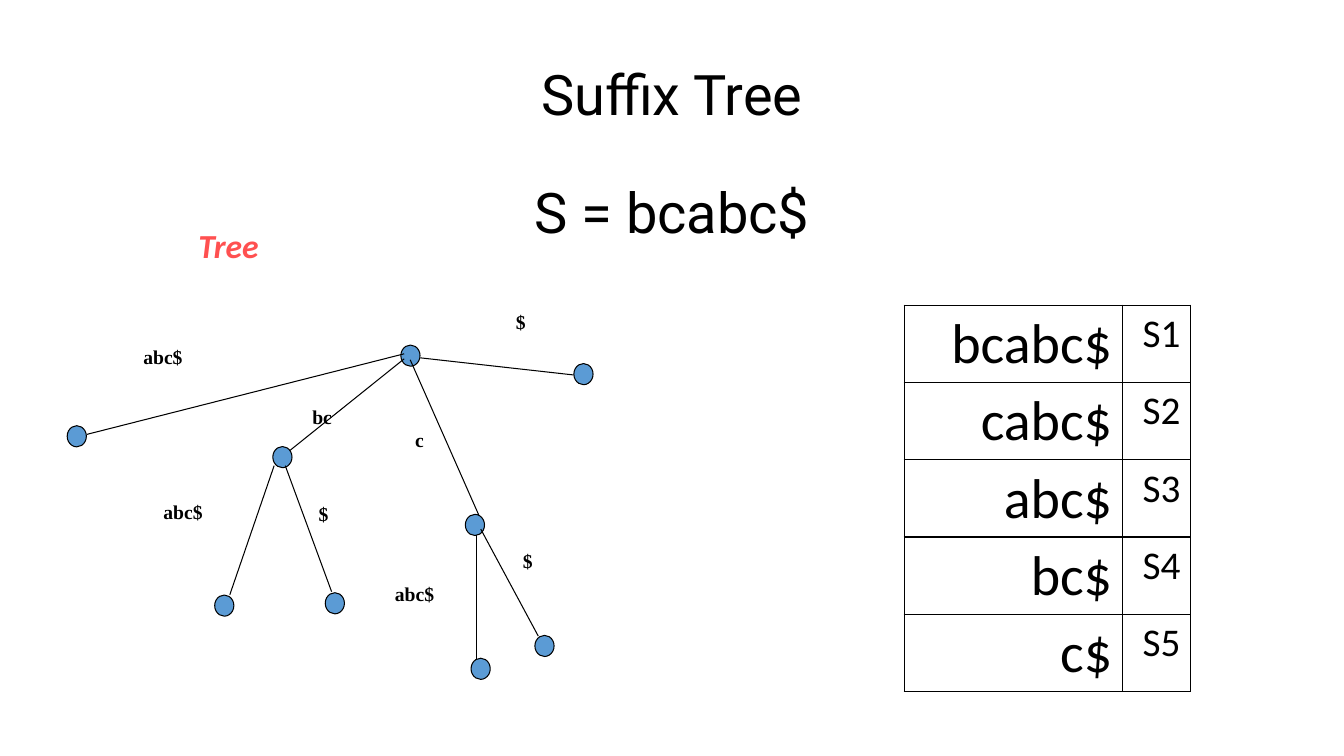
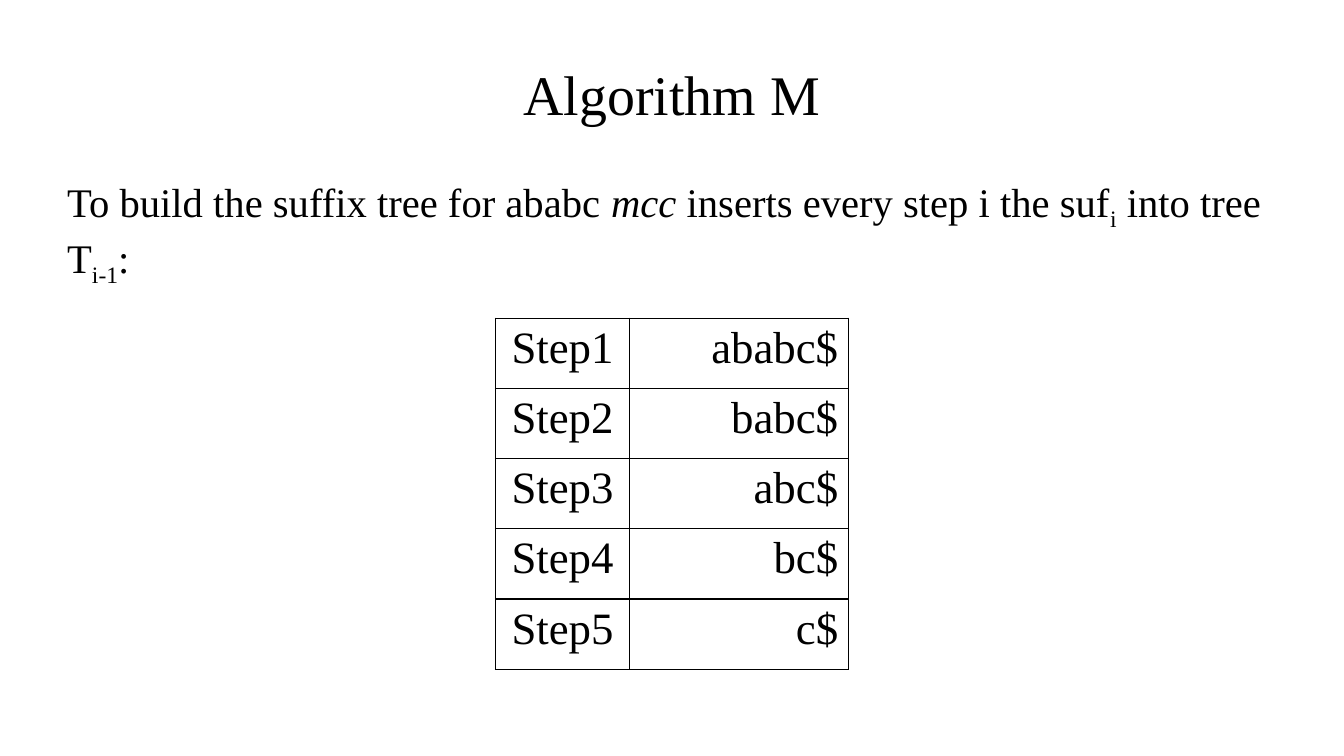
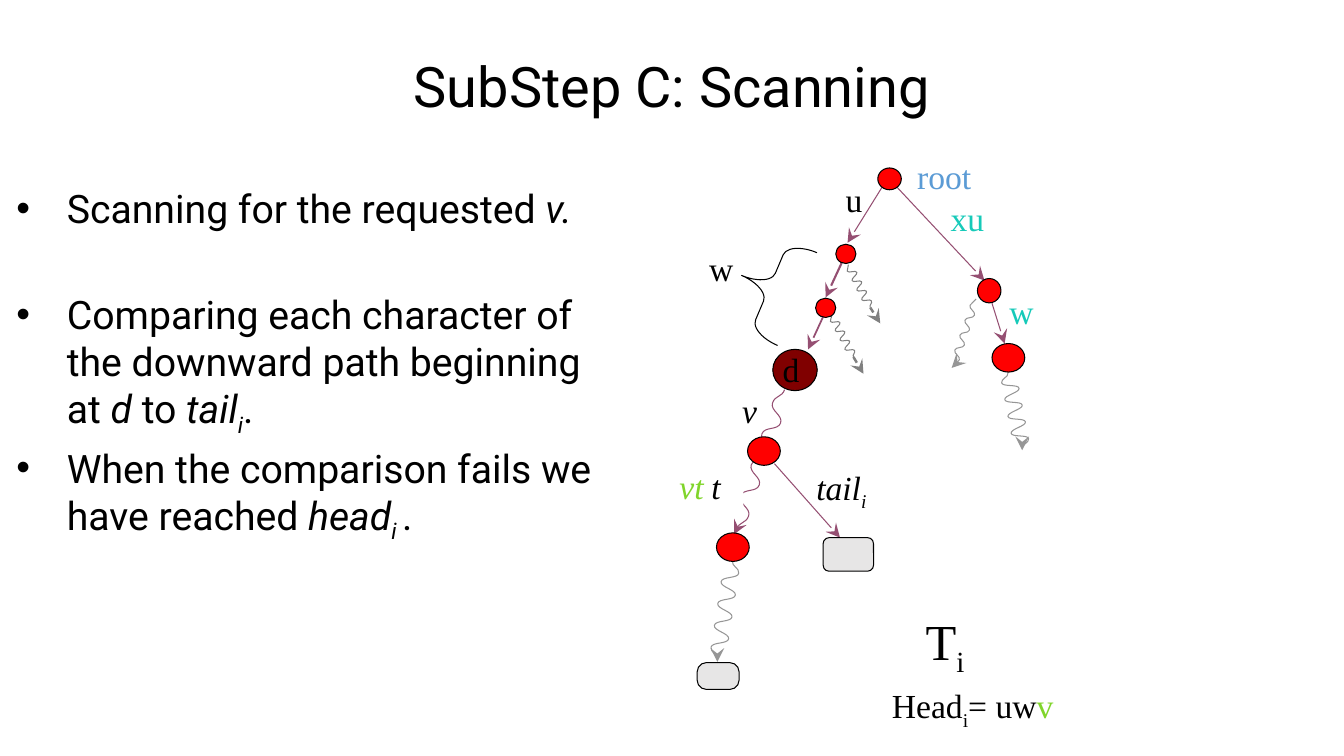
import math
from pptx import Presentation
from pptx import util as u
from pptx.dml.color import RGBColor
from pptx.enum import shapes, text
from pptx.oxml import parse_xml
from pptx.oxml.ns import nsdecls, qn

COLS, ROWS = 80, 45
UNIT = u.Inches(1) / 6
HEX = dict(ink="000000", paper="FFFFFF", blue="5B9BD5", coral="FF5050", red="FF0000",
           wine="800000", plum="954F72", ash="969696", smoke="808080", mist="E7E6E6",
           teal="16CAB9", lime="80D52B")
TIMES, ROBOTO, CARE = "Times New Roman", "Roboto", "Calibri"
LEFT, MID, RIGHT = text.PP_ALIGN.LEFT, text.PP_ALIGN.CENTER, text.PP_ALIGN.RIGHT
ITAL, SUB = dict(italic=True), dict(sub=True)
BOTH = dict(italic=True, sub=True)
TITLE = (4, 1.8, 72, 7.5)
BODY = (4, 10.54, 72)


def grid(*vals):
    """Turn grid units into lengths."""
    return [u.Emu(round(v * UNIT)) for v in vals]


def tint(name):
    """Look up a colour."""
    return RGBColor.from_string(HEX[name])


def style(font, look):
    """Set the font attributes held in a dict."""
    look = dict(look)
    font.color.rgb = tint(look.pop("tone", "ink"))
    for key, val in look.items():
        setattr(font, key, val)


def write(para, runs, look, align=LEFT):
    """Fill a paragraph with runs, each a string or a (string, format) pair."""
    para.alignment = align
    for item in [runs] if isinstance(runs, str) else runs:
        words, extra = (item, {}) if isinstance(item, str) else item
        run = para.add_run()
        run.text = words
        fmt = {**look, **extra}
        low = fmt.pop("sub", False)
        style(run.font, fmt)
        if low:
            run._r.get_or_add_rPr().set("baseline", "-25000")


def look(face, size, **more):
    """Make a format dict."""
    return dict(name=face, size=u.Pt(size), **more)


def frame(slide, spot, pad=True, anchor=text.MSO_ANCHOR.TOP):
    """Add an empty text box and return its shape."""
    box = slide.shapes.add_textbox(*grid(*spot))
    body = box.text_frame
    body.word_wrap, body.vertical_anchor = True, anchor
    if not pad:
        for side in ("left", "top", "right", "bottom"):
            setattr(body, "margin_" + side, 0)
    return box


def label(slide, runs, spot, fmt, align=LEFT, **more):
    """Add one paragraph of text in a box."""
    box = frame(slide, spot, **more)
    write(box.text_frame.paragraphs[0], runs, fmt, align)
    return box


def title(slide, words, face=ROBOTO, spot=TITLE):
    """Add the centred slide title."""
    label(slide, words, spot, look(face, 39.9), MID, pad=False,
          anchor=text.MSO_ANCHOR.MIDDLE)


def bullets(slide, spot, items, fmt):
    """Add a bulleted list of (space before, runs) items."""
    body = frame(slide, spot, pad=False).text_frame
    for num, (gap, runs) in enumerate(items):
        para = body.add_paragraph() if num else body.paragraphs[0]
        props = para._p.get_or_add_pPr()
        hang = grid(3)[0]
        props.set("marL", str(hang))
        props.set("indent", str(-hang))
        props.append(parse_xml(f'<a:buFont {nsdecls("a")} typeface="Arial"/>'))
        props.append(parse_xml(f'<a:buChar {nsdecls("a")} char="•"/>'))
        para.space_before = u.Pt(gap)
        write(para, runs, fmt)


def shape(slide, kind, spot, fill=None, adjust=(), turn=0):
    """Add a thinly outlined preset shape."""
    item = slide.shapes.add_shape(kind, *grid(*spot))
    item.shadow.inherit = False
    item.rotation = turn
    if fill:
        item.fill.solid()
        item.fill.fore_color.rgb = tint(fill)
    else:
        item.fill.background()
    pen(item.line, "ink")
    for num, val in enumerate(adjust):
        item.adjustments[num] = val
    return item


def pen(line, tone, width=0.75):
    """Set a line's colour and width."""
    line.color.rgb = tint(tone)
    line.width = u.Pt(width)


def edge(slide, ends, tone="ink", width=0.75, arrow=False):
    """Add a straight line, with an arrowhead on request."""
    line = slide.shapes.add_connector(shapes.MSO_CONNECTOR.STRAIGHT, *grid(*ends))
    pen(line.line, tone, width)
    props = line._element.spPr
    if arrow:
        props.find(qn("a:ln")).append(parse_xml(
            f'<a:tailEnd {nsdecls("a")} type="stealth" w="lg" len="lg"/>'))
    props.append(parse_xml(f'<a:effectLst {nsdecls("a")}/>'))


def bend(curve, lean):
    """Turn a freeform's straight segments into curves that lean along its axis."""
    last = None
    for step in list(curve._element.iter(qn("a:moveTo"), qn("a:lnTo"))):
        spot = [int(step[0].get(key)) for key in "xy"]
        if last:
            near = [a + b for a, b in zip(last, lean)]
            far = [a - b for a, b in zip(spot, lean)]
            dots = "".join(f'<a:pt x="{x}" y="{y}"/>' for x, y in (near, far, spot))
            step.getparent().replace(step, parse_xml(
                f'<a:cubicBezTo {nsdecls("a")}>{dots}</a:cubicBezTo>'))
        last = spot


def wave(slide, ends, tip, swing, tone):
    """Add a wavy line of nine bends that ends in an arrowhead."""
    x, y, right, low = ends
    wide, tall = right - x, low - y
    span, bends = math.hypot(wide, tall), 9
    dots = []
    for num in range(bends + 1):
        part = num / bends
        side = 0 if num in (0, bends) else swing * (-1) ** (num + 1) / span
        dots.append(grid(x + wide * part - tall * side, y + tall * part + wide * side))
    build = slide.shapes.build_freeform(*dots[0])
    build.add_line_segments(dots[1:], close=False)
    curve = build.convert_to_shape()
    bend(curve, grid(wide / bends / 2, tall / bends / 2))
    curve.shadow.inherit = False
    curve.fill.background()
    pen(curve.line, tone)
    edge(slide, (right, low, *tip), tone, 1.75, True)


def table(slide, left, top, wides, tall, rows, forms):
    """Add a ruled table; forms gives each column's format and alignment."""
    spot = grid(left, top, sum(wides), tall * len(rows))
    grill = slide.shapes.add_table(len(rows), len(wides), *spot).table
    grill.first_row = grill.horz_banding = False
    for col, wide in zip(grill.columns, grid(*wides)):
        col.width = wide
    for num, row in enumerate(rows):
        grill.rows[num].height = grid(tall)[0]
        for col, words in enumerate(row):
            cell = grill.cell(num, col)
            write(cell.text_frame.paragraphs[0], words, *forms[col])
            rule(cell)
            cell.fill.background()


def rule(cell):
    """Draw black borders round a cell."""
    props = cell._tc.get_or_add_tcPr()
    for side in "LRTB":
        props.append(parse_xml(
            f'<a:ln{side} {nsdecls("a")} w="12700"><a:solidFill>'
            f'<a:srgbClr val="{HEX["ink"]}"/></a:solidFill></a:ln{side}>'))


def suffix(slide):
    """Build the suffix tree slide."""
    title(slide, "Suffix Tree")
    label(slide, "S = bcabc$", (*BODY, 26.1), look(ROBOTO, 40), MID, pad=False)
    for ends, x, y in [
            (None, 23.86, 20.54), ((25.02, 21.3, 34.14, 22.32), 34.16, 21.64),
            ((24.42, 21.42, 28.5, 30.66), 27.7, 30.62),
            ((28.62, 31.5, 32.04, 37.86), 31.84, 37.82),
            ((28.38, 31.86, 28.38, 39.84), 28.04, 39.18),
            ((24.06, 21.36, 17.1, 26.94), 16.24, 26.58),
            ((16.98, 27.72, 19.74, 35.22), 19.36, 35.28),
            ((16.32, 27.72, 13.68, 35.4), 12.78, 35.42),
            ((24.06, 21.06, 5.16, 25.86), 4, 25.34)]:
        if ends:
            edge(slide, ends)
        shape(slide, shapes.MSO_SHAPE.OVAL, (x, y, 1.14, 1.26), "blue")
    for words, x, y in [("$", 30.12, 18.18), ("c", 24.12, 25.2), ("$", 30.54, 32.4),
                        ("abc$", 22.92, 34.36), ("bc", 18, 23.82), ("$", 18.38, 29.58),
                        ("abc$", 9.14, 29.46), ("abc$", 7.94, 20.26)]:
        label(slide, words, (x, y, 2.3 + 1.14 * len(words), 4.45),
              look(TIMES, 14, bold=True))
    label(slide, "Tree", (11.22, 13.08, 10.5, 6.6),
          look(CARE, 24, bold=True, italic=True, tone="coral"))
    word = "bcabc$"
    rows = [(word[num:], f"S{num + 1}") for num in range(5)]
    table(slide, 53.82, 18.16, (12.98, 4.06), 4.6, rows,
          [(look(CARE, 40), RIGHT), (look(CARE, 28), RIGHT)])


def steps(slide):
    """Build the algorithm slide."""
    title(slide, "Algorithm M", TIMES)
    label(slide, ["To build the suffix tree for ababc ", ("mcc", ITAL),
                  " inserts every step i the suf", ("i", SUB), " into tree T",
                  ("i-1", SUB), ":"], (*BODY, 33.85), look(TIMES, 29), pad=False)
    word = "ababc$"
    rows = [(f"Step{num + 1}", word[num:]) for num in range(5)]
    fmt = look(TIMES, 32)
    table(slide, 29.5, 18.94, (7.98, 13.02), 4.18, rows, [(fmt, MID), (fmt, RIGHT)])


def scan(slide):
    """Build the scanning slide."""
    title(slide, "SubStep C: Scanning", spot=(16.75, 2.32, 46.5, 5.5))
    bullets(slide, (0.98, 10.98, 35.28, 29), [
        (0, ["Scanning for the requested ", ("v.", ITAL)]),
        (42, ["Comparing each character of the downward path beginning at ", ("d", ITAL),
              " to ", ("tail", ITAL), ("i", BOTH), "."]),
        (4.2, ["When the comparison fails we have reached ", ("head", ITAL),
               ("i", BOTH), (" ", SUB), "."])], look(ROBOTO, 28))
    for ends, tip, swing, tone in [
            ((58.1, 17.8, 56.75, 21.8), (56.65, 21.9), 0.22, "ash"),
            ((60, 22.2, 60.85, 26.7), (60.85, 26.8), 0.48, "ash"),
            ((46.7, 23.2, 43.85, 31.5), (43.7, 31.8), 0.42, "plum"),
            ((50.5, 15.75, 51.8, 18.3), (52.4, 19.25), 0.24, "smoke"),
            ((49.5, 18.75, 50.8, 21.25), (51.4, 22.25), 0.24, "smoke"),
            ((43.6, 33.4, 42.7, 39.25), (42.7, 39.4), -0.48, "ash")]:
        wave(slide, ends, tip, swing, tone)
    for *ends, width in [(53.4, 11.15, 58.6, 16.7, 0.75), (52.5, 11.15, 50.45, 14.45, 0.75),
                         (59.05, 18.05, 59.8, 20.45, 0.75), (50.1, 15.65, 49.15, 17.7, 1.5),
                         (49, 18.85, 48.1, 20.8, 1.25), (46.1, 27.6, 50, 32, 0.75)]:
        edge(slide, ends, "plum", width, True)
    small, large = (1.2, 1.15), (1.95, 1.7)
    for x, y, size, tone in [
            (52.25, 10, (1.4, 1.3), "red"), (49.75, 14.54, small, "red"),
            (58.18, 16.58, (1.4, 1.45), "red"), (59.05, 20.45, large, "red"),
            (48.55, 17.75, small, "red"), (46, 20.8, (2.65, 2.45), "wine"),
            (42.65, 31.72, large, "red"), (44.5, 26, large, "red")]:
        shape(slide, shapes.MSO_SHAPE.OVAL, (x, y, *size), tone)
    for spot, curl in [((49, 32, 3, 2), 0.18), ((41.5, 39.44, 2.5, 1.6), 0.35)]:
        shape(slide, shapes.MSO_SHAPE.ROUNDED_RECTANGLE, spot, "mist", [curl])
    shape(slide, shapes.MSO_SHAPE.LEFT_BRACE, (44, 14.1, 3.6, 6), None, [0.25, 0.5], 23)
    patch = label(slide, "t", (41.75, 27.42, 2.5, 3), look(TIMES, 24, italic=True))
    patch.fill.solid()
    patch.fill.fore_color.rgb = tint("paper")
    label(slide, ["T", ("i", SUB)], (54.5, 36, 4, 4.2), look(TIMES, 36))
    for runs, x, y, wide, more in [
            ("root", 54, 9, 7.25, dict(tone="blue")),
            ("xu", 56, 11.5, 3.25, dict(tone="teal")),
            ("u", 49.75, 10.38, 1.7, {}),
            ("vt", 39.85, 27.42, 3, dict(tone="lime", italic=True)),
            ("d", 46, 20.5, 2, {}),
            ("w", 59.5, 17, 3.25, dict(tone="teal")),
            (["Head", ("i", SUB), "= uw", ("v", dict(tone="lime"))], 52.5, 40.5, 13.5, {}),
            ("w", 41.62, 14.45, 2.15, {}),
            ("v", 43.58, 22.92, 4, ITAL),
            (["tail", ("i", SUB)], 48, 27.48, 6, ITAL)]:
        label(slide, runs, (x, y, wide, 3), look(TIMES, 24, **more))


def main():
    """Build and save the deck."""
    deck = Presentation()
    deck.slide_width, deck.slide_height = grid(COLS, ROWS)
    for make in (suffix, steps, scan):
        make(deck.slides.add_slide(deck.slide_layouts[6]))
    deck.save("out.pptx")


if __name__ == "__main__":
    main()
